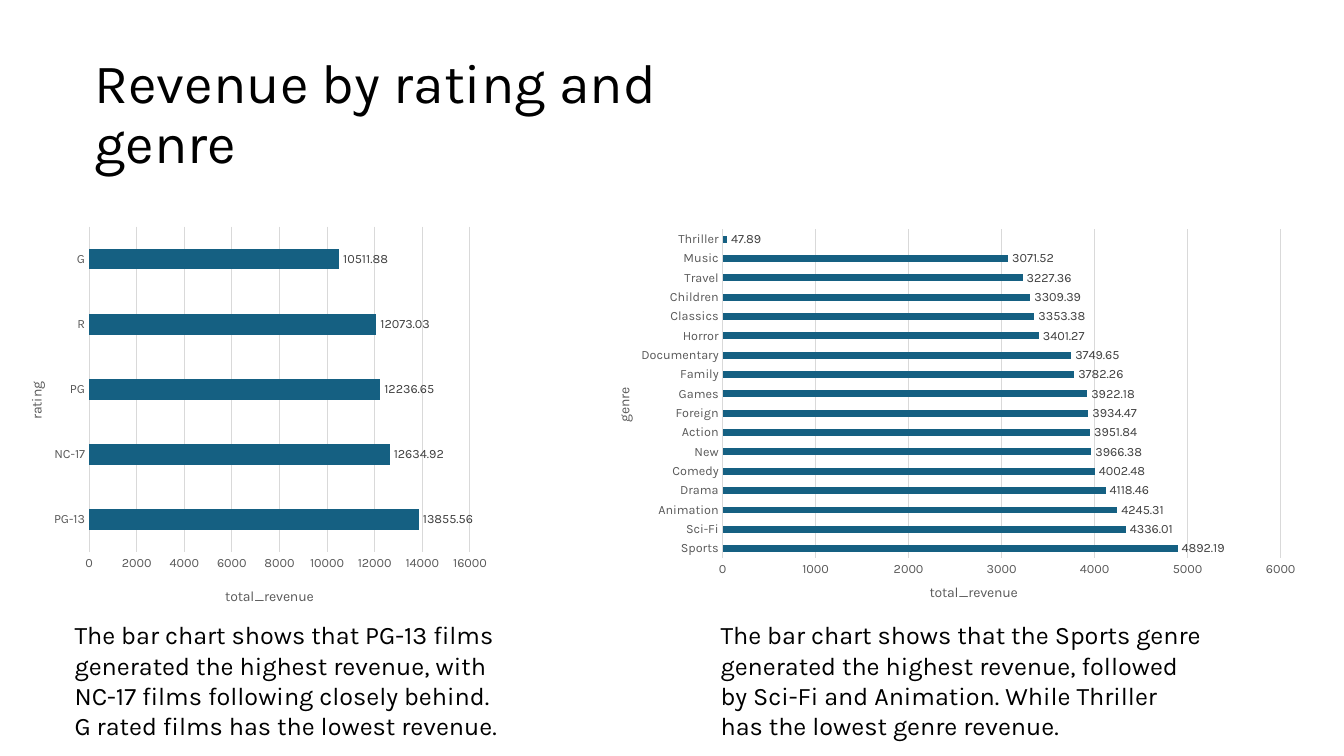
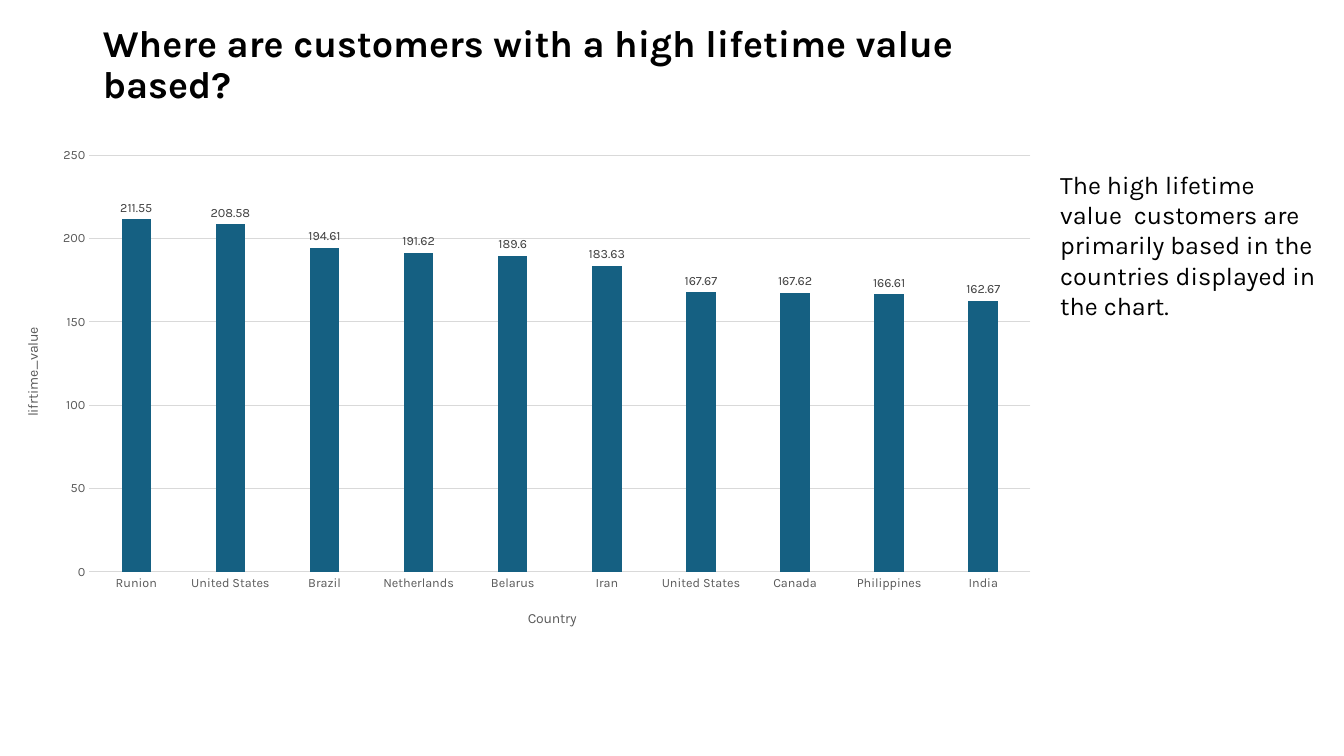
import pptx
import pptx.util
import pptx.chart.data
import pptx.dml.color
import pptx.enum.chart
import pptx.enum.text
import pptx.oxml
import pptx.oxml.ns

Cm, Pt = pptx.util.Cm, pptx.util.Pt
RGBColor = pptx.dml.color.RGBColor
qn = pptx.oxml.ns.qn
XL = pptx.enum.chart

FONT = "Karla"
BLACK = RGBColor(0x00, 0x00, 0x00)
BAR_BLUE = RGBColor(0x15, 0x60, 0x82)
AXIS_GRAY = RGBColor(0x59, 0x59, 0x59)
LABEL_GRAY = RGBColor(0x40, 0x40, 0x40)
GRID_GRAY = RGBColor(0xD9, 0xD9, 0xD9)
BAR = XL.XL_CHART_TYPE.BAR_CLUSTERED
COLUMN = XL.XL_CHART_TYPE.COLUMN_CLUSTERED

# Content: boxes are left, top, width, height in cm;
# plot areas and axis title corners are fractions of the chart
SLIDES = [
    {
        "title": "Revenue by rating and genre",
        "title_box": (2.13, 1.98, 17.09, 1.88), "title_size": 39.6, "bold": False,
        "charts": [
            {
                "type": BAR, "box": (0, 5.51, 12.47, 10.13), "gap": 219,
                "plot": (0.18, 0.02, 0.77, 0.81),
                "cat_title": ("rating", 0.05, 0.4),
                "val_title": ("total_revenue", 0.45, 0.91),
                "scale": (16000, 2000),
                "data": [("PG-13", 13855.56), ("NC-17", 12634.92), ("PG", 12236.65),
                         ("R", 12073.03), ("G", 10511.88)],
            },
            {
                "type": BAR, "box": (14.05, 3.99, 19.81, 11.25), "gap": 182,
                "plot": (0.21, 0.16, 0.71, 0.74),
                "cat_title": ("genre", 0.07, 0.51),
                "val_title": ("total_revenue", 0.47, 0.95),
                "scale": (6000, 1000),
                "data": [("Sports", 4892.19), ("Sci-Fi", 4336.01), ("Animation", 4245.31),
                         ("Drama", 4118.46), ("Comedy", 4002.48), ("New", 3966.38),
                         ("Action", 3951.84), ("Foreign", 3934.47), ("Games", 3922.18),
                         ("Family", 3782.26), ("Documentary", 3749.65),
                         ("Horror", 3401.27), ("Classics", 3353.38),
                         ("Children", 3309.39), ("Travel", 3227.36),
                         ("Music", 3071.52), ("Thriller", 47.89)],
            },
        ],
        "captions": [
            ((1.63, 15.49, 11.35, 3.33),
             ["The bar chart shows that PG-13 films generated the highest revenue, "
              "with NC-17 films following closely behind.",
              "G rated films has the lowest revenue."]),
            ((17.91, 15.49, 12.62, 3.33),
             ["The bar chart shows that the Sports genre generated the highest revenue, "
              "followed by Sci-Fi and Animation. While Thriller has the lowest genre "
              "revenue."]),
        ],
    },
    {
        "title": "Where are customers with a high lifetime value based?",
        "title_box": (2.34, 0.5, 23.11, 2.3), "title_size": 27, "bold": True,
        "charts": [
            {
                "type": COLUMN, "box": (0, 3.48, 26.47, 12.7), "gap": 219,
                "plot": (0.085, 0.034, 0.896, 0.827),
                "cat_title": ("Country", 0.5, 0.93),
                "val_title": ("lifrtime_value", 0.02, 0.37),
                "scale": (250, 50),
                "data": [("Runion", 211.55), ("United States", 208.58),
                         ("Brazil", 194.61), ("Netherlands", 191.62),
                         ("Belarus", 189.6), ("Iran", 183.63),
                         ("United States", 167.67), ("Canada", 167.62),
                         ("Philippines", 166.61), ("India", 162.67)],
            },
        ],
        "captions": [
            ((26.47, 4.14, 7.09, 3.33),
             ["The high lifetime value  customers are primarily based in the countries "
              "displayed in the chart."]),
        ],
    },
]


def cm_box(box):
    return [Cm(v) for v in box]


def style_font(font, size, color, bold=False):
    font.name, font.size, font.bold = FONT, Pt(size), bold
    font.color.rgb = color


def set_layout(parent, index, values, inner=False):
    """Give a chart part a manual layout: x, y and optionally w, h."""
    for old in parent.findall(qn("c:layout")):
        parent.remove(old)
    names = "xywh"[:len(values)]
    parts = '<c:layoutTarget val="inner"/>' if inner else ""
    parts += "".join(f'<c:{n}Mode val="edge"/>' for n in names[:2])
    parts += "".join(f'<c:{n} val="{v}"/>' for n, v in zip(names, values))
    parent.insert(index, pptx.oxml.parse_xml(
        f'<c:layout {pptx.oxml.ns.nsdecls("c")}>'
        f'<c:manualLayout>{parts}</c:manualLayout></c:layout>'))


def style_axis(axis, title, vertical):
    text, x, y = title
    axis.major_tick_mark = axis.minor_tick_mark = XL.XL_TICK_MARK.NONE
    style_font(axis.tick_labels.font, 9, AXIS_GRAY)
    axis_title = axis.axis_title
    tf = axis_title.text_frame
    tf.text = text
    style_font(tf.paragraphs[0].font, 10, AXIS_GRAY)
    element = axis_title._element
    body = next(element.iter(qn("a:bodyPr")))
    body.set("rot", "-5400000" if vertical else "0")
    body.set("vert", "horz")
    set_layout(element, 1, (x, y))


def add_bar_chart(s, c):
    data = pptx.chart.data.CategoryChartData()
    data.categories = [name for name, _ in c["data"]]
    data.add_series("Series 1", [value for _, value in c["data"]])
    chart = s.shapes.add_chart(c["type"], *cm_box(c["box"]), data).chart
    chart.has_legend = chart.has_title = False
    style_font(chart.font, 10, BLACK)

    # Bars and their labels
    plot = chart.plots[0]
    plot.gap_width, plot.vary_by_categories = c["gap"], False
    fill = plot.series[0].format.fill
    fill.solid()
    fill.fore_color.rgb = BAR_BLUE
    plot.has_data_labels = True
    labels = plot.data_labels
    labels.show_value = True
    labels.position = XL.XL_LABEL_POSITION.OUTSIDE_END
    style_font(labels.font, 9, LABEL_GRAY)

    # Axes and gridlines
    cat, val = chart.category_axis, chart.value_axis
    is_bar = c["type"] == BAR
    style_axis(cat, c["cat_title"], is_bar)
    style_axis(val, c["val_title"], not is_bar)
    val.minimum_scale = 0
    val.maximum_scale, val.major_unit = c["scale"]
    val.format.line.fill.background()
    val.has_major_gridlines = True
    for line in (cat.format.line, val.major_gridlines.format.line):
        line.color.rgb, line.width = GRID_GRAY, Pt(0.75)
    set_layout(chart._chartSpace.chart.plotArea, 0, c["plot"], inner=True)


def add_title(s, content):
    sp = s.shapes.title
    sp.left, sp.top, sp.width, sp.height = cm_box(content["title_box"])
    tf = sp.text_frame
    tf.text = content["title"]
    tf.auto_size = pptx.enum.text.MSO_AUTO_SIZE.NONE
    tf.vertical_anchor = pptx.enum.text.MSO_ANCHOR.MIDDLE
    p = tf.paragraphs[0]
    p.alignment, p.line_spacing = pptx.enum.text.PP_ALIGN.LEFT, 0.9
    style_font(p.font, content["title_size"], BLACK, content["bold"])


def add_caption(s, box, paragraphs):
    tf = s.shapes.add_textbox(*cm_box(box)).text_frame
    tf.word_wrap = True
    tf.auto_size = pptx.enum.text.MSO_AUTO_SIZE.SHAPE_TO_FIT_TEXT
    tf.text = "\n".join(paragraphs)
    for p in tf.paragraphs:
        style_font(p.font, 18, BLACK)


def main():
    prs = pptx.Presentation()
    prs.slide_width, prs.slide_height = Cm(33.87), Cm(19.05)
    for content in SLIDES:
        s = prs.slides.add_slide(prs.slide_layouts[5])
        add_title(s, content)
        for c in content["charts"]:
            add_bar_chart(s, c)
        for box, paragraphs in content["captions"]:
            add_caption(s, box, paragraphs)
    prs.save("out.pptx")


if __name__ == "__main__":
    main()
